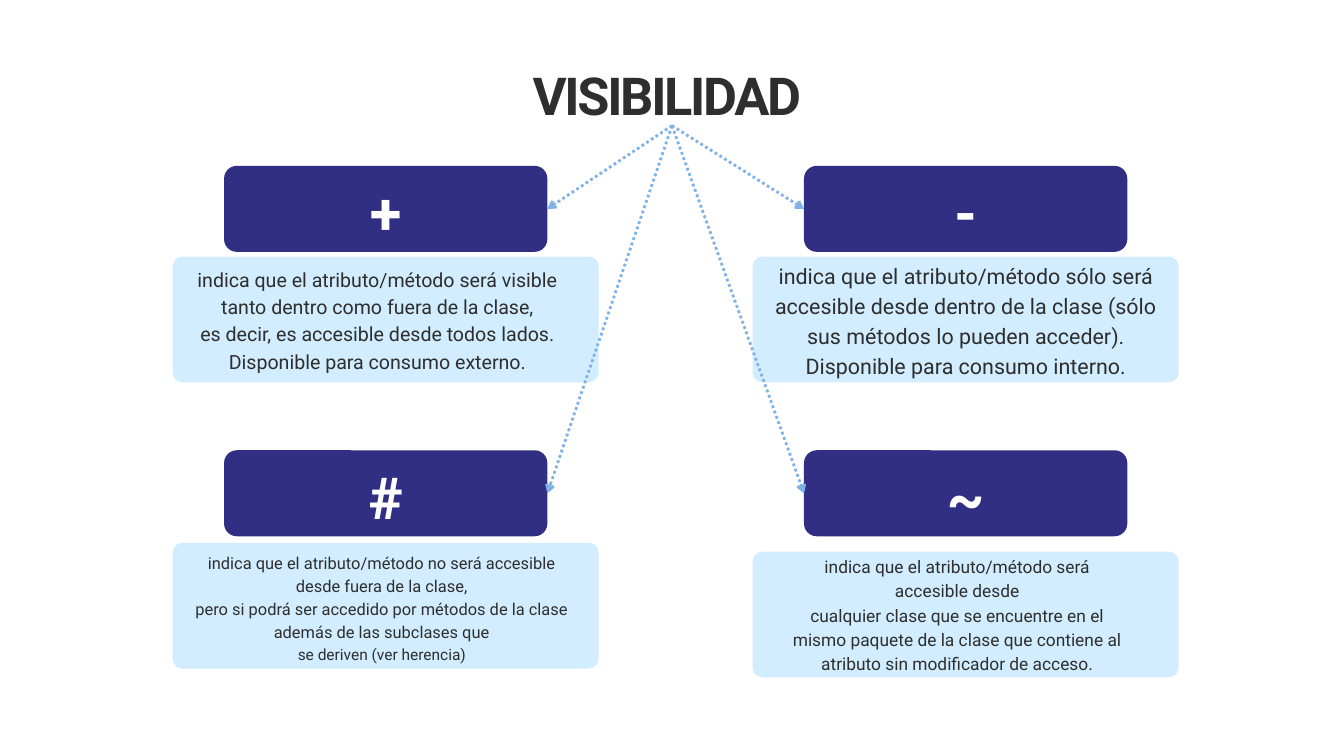
from lxml import etree
from pptx import Presentation
from pptx.dml.color import RGBColor
from pptx.enum.dml import MSO_LINE
from pptx.enum.shapes import MSO_CONNECTOR, MSO_SHAPE
from pptx.enum.text import MSO_ANCHOR, PP_ALIGN
from pptx.oxml.ns import qn
from pptx.util import Cm, Pt

ROUNDED = MSO_SHAPE.ROUNDED_RECTANGLE
STRAIGHT = MSO_CONNECTOR.STRAIGHT
DOTTED = MSO_LINE.ROUND_DOT
CENTER = PP_ALIGN.CENTER
TOP, MIDDLE = MSO_ANCHOR.TOP, MSO_ANCHOR.MIDDLE

FONT = "Roboto"
NAVY = RGBColor(0x31, 0x2F, 0x84)
PALE = RGBColor(0xD2, 0xED, 0xFF)
SKY = RGBColor(0x80, 0xB2, 0xE8)
INK = RGBColor(0x2E, 0x2E, 0x2E)
WHITE = RGBColor(0xFF, 0xFF, 0xFF)

TITLE = "VISIBILIDAD "
CARDS = [
    {"symbol": "+", "column": 0, "row": 0, "panel_top": 9.7,
     "box": (6.99, 9.96, 14.55, 4.11),
     "lines": [
         ("indica que el atributo/método será visible tanto dentro como fuera de la clase,", 21, 29.4),
         ("es decir, es accesible desde todos lados. Disponible para consumo externo.", 21, 29.4)]},
    {"symbol": "#", "column": 0, "row": 1, "panel_top": 20.52,
     "box": (7.32, 20.78, 14.22, 4.17),
     "lines": [
         ("indica que el atributo/método no será accesible desde fuera de la clase,", 17.6, 24.6),
         ("pero si podrá ser accedido por métodos de la clase además de las subclases que", 17.6, 24.6),
         ("se deriven (ver herencia)", 16.6, 23.2)]},
    {"symbol": "-", "column": 1, "row": 0, "panel_top": 9.7,
     "box": (29.24, 9.78, 14.55, 4.42),
     "lines": [
         ("indica que el atributo/método sólo será accesible desde dentro de la clase (sólo", 23, 32.2),
         ("sus métodos lo pueden acceder). Disponible para consumo interno.", 23, 32.2)]},
    {"symbol": "~", "column": 1, "row": 1, "panel_top": 20.85,
     "box": (29.74, 20.9, 12.88, 4.55),
     "lines": [
         ("indica que el atributo/método será accesible desde", 18.6, 26),
         ("cualquier clase que se encuentre en el mismo paquete de la clase que contiene al", 18.6, 26),
         ("atributo sin modificador de acceso.", 18.6, 26)]},
]

PANEL_LEFTS = (6.53, 28.45)
PANEL_WIDTH, PANEL_HEIGHT = 16.1, 4.75
HEADER_TOPS = (6.27, 17.02)
HEADER_WIDTH, HEADER_HEIGHT = 12.22, 3.25
HEADER_INSET = (PANEL_WIDTH - HEADER_WIDTH) / 2
SYMBOL_DROP = 0.3
ARROW_START = (25.4, 4.75)


def add_text(page, area, lines, color=INK, bold=False, anchor=TOP, margin=0, spacing=None):
    box = page.shapes.add_textbox(*(Cm(value) for value in area))
    frame = box.text_frame
    frame.word_wrap = True
    frame.vertical_anchor = anchor
    frame.margin_left = frame.margin_right = Cm(margin)
    frame.margin_top = frame.margin_bottom = Cm(margin)
    for index, (text, size, leading) in enumerate(lines):
        para = frame.add_paragraph() if index else frame.paragraphs[0]
        para.alignment = CENTER
        para.line_spacing = Pt(leading)
        span = para.add_run()
        span.text = text
        span.font.name = FONT
        span.font.size = Pt(size)
        span.font.bold = bold
        span.font.color.rgb = color
        if spacing is not None:
            span.font._element.set("spc", str(round(spacing * 100)))


def add_block(page, area, color, radius):
    block = page.shapes.add_shape(ROUNDED, *(Cm(value) for value in area))
    block.adjustments[0] = radius / area[3]
    block.shadow.inherit = False
    block.fill.solid()
    block.fill.fore_color.rgb = color
    block.line.fill.background()


def add_arrow(page, start, end):
    arrow = page.shapes.add_connector(STRAIGHT, *(Cm(value) for value in start + end))
    arrow.line.color.rgb = SKY
    arrow.line.width = Pt(3)
    arrow.line.dash_style = DOTTED
    tail = etree.SubElement(arrow.line._get_or_add_ln(), qn("a:tailEnd"))
    tail.set("type", "arrow")
    etree.SubElement(arrow._element.spPr, qn("a:effectLst"))


def main():
    deck = Presentation()
    deck.slide_width, deck.slide_height = Cm(50.8), Cm(28.575)
    page = deck.slides.add_slide(deck.slide_layouts[6])

    add_text(page, (9.7, 2.36, 31.42, 2.39), [(TITLE, 56, 67.8)], bold=True, spacing=-2.5)

    arrow_ends = []
    for card in CARDS:
        panel_left = PANEL_LEFTS[card["column"]]
        left, top = panel_left + HEADER_INSET, HEADER_TOPS[card["row"]]
        add_block(page, (left, top, HEADER_WIDTH, HEADER_HEIGHT), NAVY, 0.48)
        add_text(page, (left, top + SYMBOL_DROP, HEADER_WIDTH, HEADER_HEIGHT - SYMBOL_DROP),
                 [(card["symbol"], 62, 71.9)], color=WHITE, bold=True, anchor=MIDDLE, margin=0.15)
        add_block(page, (panel_left, card["panel_top"], PANEL_WIDTH, PANEL_HEIGHT), PALE, 0.36)
        add_text(page, card["box"], card["lines"])
        inner_edge = left if card["column"] else left + HEADER_WIDTH
        arrow_ends.append((inner_edge, top + HEADER_HEIGHT / 2))

    for end in arrow_ends:
        add_arrow(page, ARROW_START, end)

    deck.save("out.pptx")


if __name__ == "__main__":
    main()
